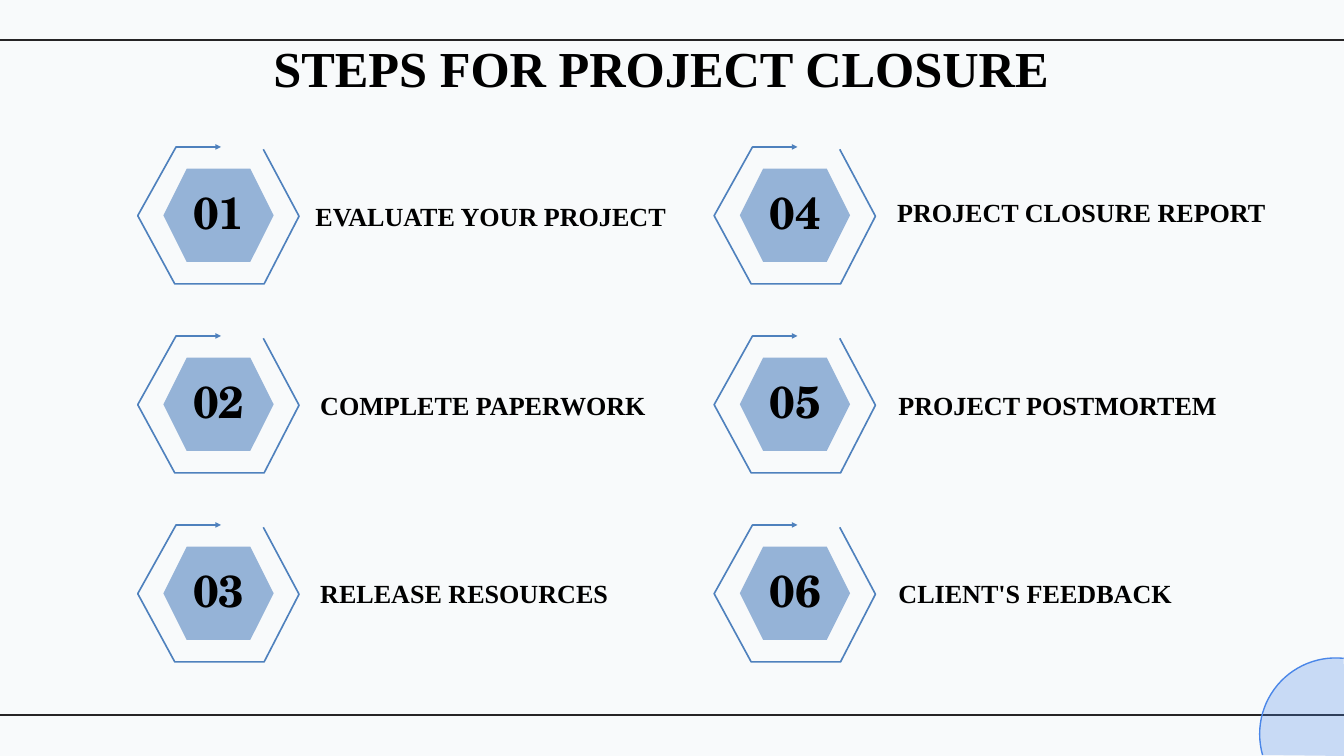
from dataclasses import dataclass
from math import cos, radians, sin

from pptx import Presentation
from pptx.dml.color import RGBColor
from pptx.enum.shapes import MSO_CONNECTOR, MSO_SHAPE
from pptx.enum.text import MSO_ANCHOR, MSO_AUTO_SIZE, PP_ALIGN
from pptx.oxml.ns import qn
from pptx.util import Cm, Pt
from lxml.etree import SubElement


@dataclass(frozen=True)
class Theme:
    background: RGBColor = RGBColor.from_string("F8FAFB")
    text: RGBColor = RGBColor.from_string("000000")
    rule: RGBColor = RGBColor.from_string("262425")
    ring: RGBColor = RGBColor.from_string("4F81BD")
    hexagon: RGBColor = RGBColor.from_string("95B3D7")
    circle: RGBColor = RGBColor.from_string("4A86E8")
    text_font: str = "Times New Roman"
    number_font: str = "TeX Gyre Schola"
    title_size: Pt = Pt(54)
    number_size: Pt = Pt(48)
    label_size: Pt = Pt(28)


theme = Theme()
title_format = {"name": theme.text_font, "size": theme.title_size, "bold": True}
number_format = {"name": theme.number_font, "size": theme.number_size, "bold": True}
label_format = {"name": theme.text_font, "size": theme.label_size, "bold": True}


def write_text(shape, text, font_format, alignment):
    """Put one formatted line of text at the top of a shape."""
    frame = shape.text_frame
    frame.word_wrap = True
    frame.auto_size = MSO_AUTO_SIZE.NONE
    frame.vertical_anchor = MSO_ANCHOR.TOP
    paragraph = frame.paragraphs[0]
    paragraph.alignment = alignment
    run = paragraph.add_run()
    run.text = text
    for name, value in font_format.items():
        setattr(run.font, name, value)
    run.font.color.rgb = theme.text


def draw_outline(points, color, width, closed=False):
    """Draw a freeform through points in centimetres; width 0 means no line."""
    corners = [(Cm(x), Cm(y)) for x, y in points]
    builder = slide.shapes.build_freeform(*corners[0], scale=1.0)
    builder.add_line_segments(corners[1:], close=closed)
    shape = builder.convert_to_shape()
    shape.shadow.inherit = False
    if width:
        shape.fill.background()
        shape.line.color.rgb = color
        shape.line.width = Pt(width)
    else:
        shape.fill.solid()
        shape.fill.fore_color.rgb = color
        shape.line.fill.background()
    return shape


# Slide and background
slide_width, slide_height = 50.83, 28.6
presentation = Presentation()
presentation.slide_width = Cm(slide_width)
presentation.slide_height = Cm(slide_height)
slide = presentation.slides.add_slide(presentation.slide_layouts[5])
slide.background.fill.solid()
slide.background.fill.fore_color.rgb = theme.background

# Rules at the top and bottom
for rule_top in (1.52, 27.05):
    rule = slide.shapes.add_connector(
        MSO_CONNECTOR.STRAIGHT, Cm(0), Cm(rule_top), Cm(slide_width), Cm(rule_top))
    rule.line.color.rgb = theme.rule
    rule.line.width = Pt(1.47)
    SubElement(rule._element.spPr, qn("a:effectLst"))

# Circle cut off by the bottom right corner
center_x, center_y, radius = 50.52, 27.77, 2.88
arc = [(center_x + radius * cos(radians(angle)), center_y - radius * sin(radians(angle)))
       for angle in range(84, 197, 4)]
circle = draw_outline(arc + [(slide_width, slide_height)], theme.circle, 0, closed=True)
circle_color = circle._element.spPr.find(qn("a:solidFill")).find(qn("a:srgbClr"))
SubElement(circle_color, qn("a:alpha"), val="27000")
draw_outline(arc, theme.circle, 1.47)

# Title
title = slide.shapes.title
title.left, title.top, title.width, title.height = Cm(10.34), Cm(1.4), Cm(30.05), Cm(2.34)
write_text(title, "STEPS FOR PROJECT CLOSURE", title_format, PP_ALIGN.LEFT)
for margin in ("margin_left", "margin_right", "margin_top", "margin_bottom"):
    setattr(title.text_frame, margin, Cm(0))
title.text_frame.paragraphs[0].space_before = Pt(0.9)

# Steps: label with its left and top, filled down each column
steps = [
    ("EVALUATE YOUR PROJECT", 11.68, 7.47),
    ("COMPLETE PAPERWORK", 11.86, 14.6),
    ("RELEASE RESOURCES", 11.86, 21.72),
    ("PROJECT CLOSURE REPORT", 33.68, 7.29),
    ("PROJECT POSTMORTEM", 33.73, 14.6),
    ("CLIENT'S FEEDBACK", 33.73, 21.72),
]
rows = 3
first_left, first_top = 5.21, 5.56
column_pitch, row_pitch = 21.8, 7.15
ring_points = [(4.75, 0.09), (6.1, 2.62), (4.78, 5.18), (1.4, 5.18),
               (0, 2.6), (1.45, 0), (3.15, 0)]

for index, (label, label_left, label_top) in enumerate(steps):
    column, row = divmod(index, rows)
    left = first_left + column * column_pitch
    top = first_top + row * row_pitch

    # Open ring with an arrowhead
    ring = draw_outline([(left + x, top + y) for x, y in ring_points], theme.ring, 1.75)
    SubElement(ring._element.spPr.find(qn("a:ln")), qn("a:tailEnd"), type="triangle")

    # Hexagon and number
    hexagon = slide.shapes.add_shape(
        MSO_SHAPE.HEXAGON, Cm(left + 0.97), Cm(top + 0.82), Cm(4.17), Cm(3.53))
    hexagon.shadow.inherit = False
    hexagon.fill.solid()
    hexagon.fill.fore_color.rgb = theme.hexagon
    hexagon.line.fill.background()
    number_box = slide.shapes.add_textbox(
        Cm(left + 1.4), Cm(top + 1.32), Cm(3.33), Cm(2.31))
    write_text(number_box, f"{index + 1:02}", number_format, PP_ALIGN.CENTER)

    # Label
    label_box = slide.shapes.add_textbox(
        Cm(label_left), Cm(label_top), Cm(15.2), Cm(1.45))
    write_text(label_box, label, label_format, PP_ALIGN.LEFT)

presentation.save("out.pptx")
